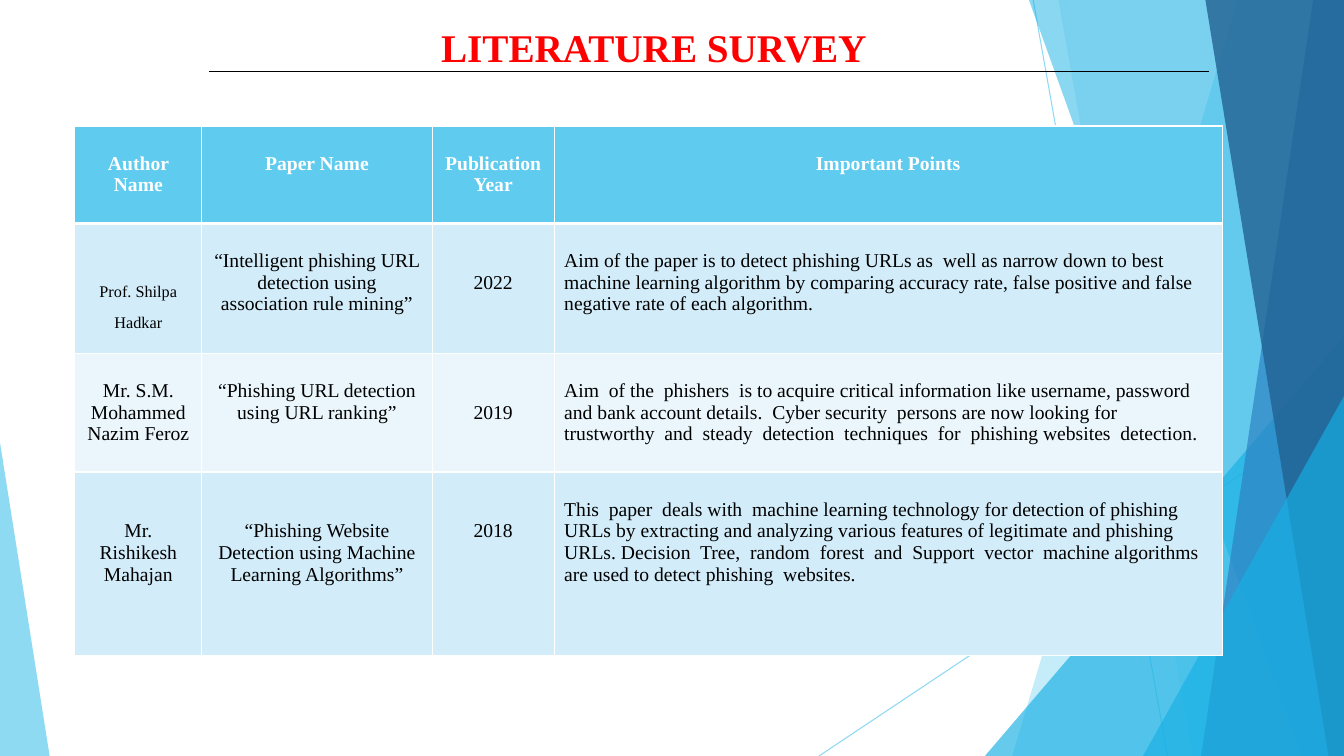
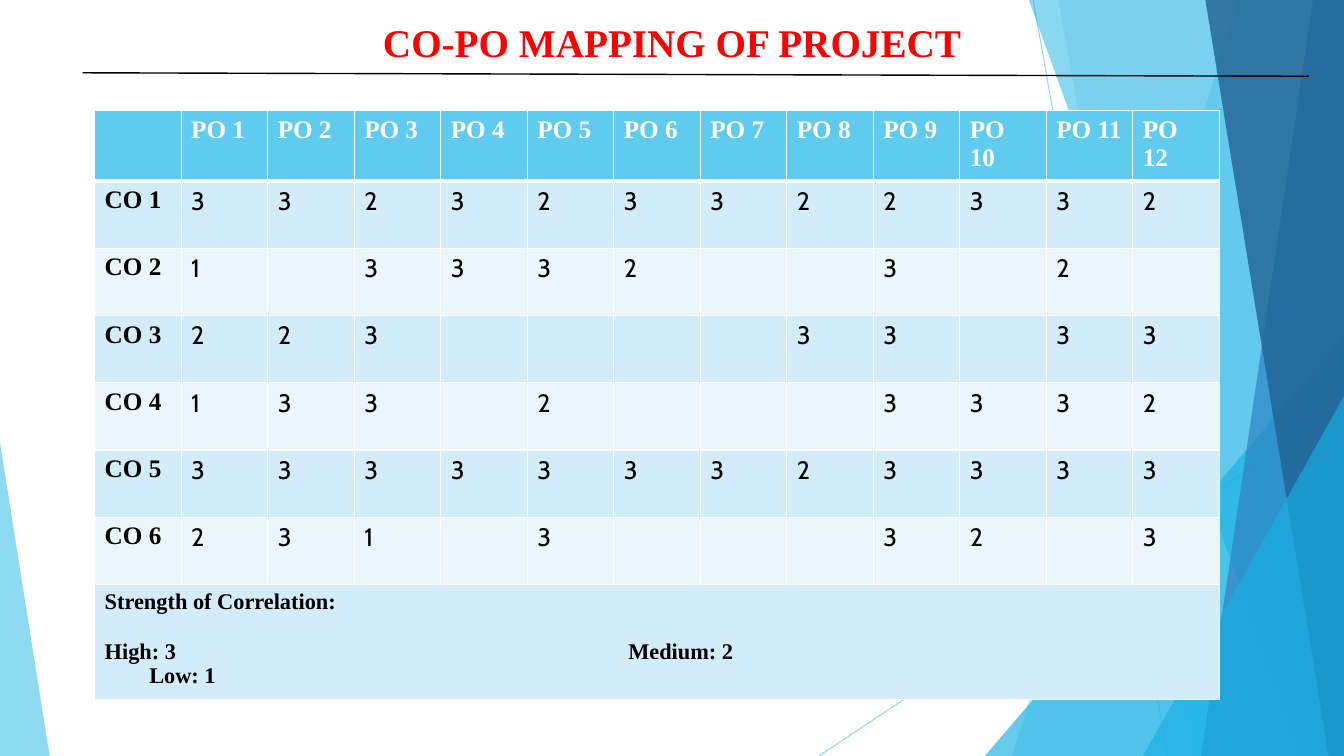
from dataclasses import dataclass
from typing import Any, NamedTuple

import lxml.etree
import pptx
import pptx.dml.color
import pptx.enum.shapes
import pptx.enum.text
import pptx.oxml.ns
import pptx.util

Pt = pptx.util.Pt
qn = pptx.oxml.ns.qn
ALIGN = pptx.enum.text.PP_ALIGN


# Theme: colours, fonts and type sizes
@dataclass(frozen=True)
class Theme:
    red: str = "FF0000"
    black: str = "000000"
    white: str = "FFFFFF"
    sky: str = "5FCBEF"
    cyan: str = "17B0E4"
    blue: str = "2E83C3"
    navy: str = "226292"
    odd: str = "D2ECF9"
    even: str = "EAF6FC"
    serif: str = "Times New Roman"
    sans: str = "Cabin"
    title: int = 28
    raised: int = 20
    grid: int = 18
    key: int = 16
    body: int = 14
    inset: float = 3.6
    leading: float = 1.107


THEME = Theme()
WIDTH, HEIGHT = 960, 540


# Background parts, in points
class Ray(NamedTuple):
    x1: float
    y1: float
    x2: float
    y2: float


class Band(NamedTuple):
    top: float
    foot: float
    color: str
    alpha: int


class Wedge(NamedTuple):
    left: float
    top: float
    width: float
    peak: float
    color: str
    alpha: int


DECOR = (
    Ray(738, 0, 834, HEIGHT),
    Ray(WIDTH, 290, 585, HEIGHT),
    Band(884, 723, THEME.sky, 36),
    Band(756, 852, THEME.sky, 20),
    Wedge(703.5, 240, 256.5, 1, THEME.cyan, 66),
    Band(735, 929.5, THEME.cyan, 50),
    Band(938, 858, THEME.blue, 70),
    Band(861, 949, THEME.navy, 80),
    Wedge(816.5, 283, 143.5, 1, THEME.cyan, 66),
    Wedge(0, 316, 35.5, 0, THEME.sky, 70),
)


# Slide content; skip counts the lines left free above a cell's text
class Entry(NamedTuple):
    text: str
    skip: int = 1
    raised: bool = False


SURVEY = (
    (Entry("Author Name"), Entry("Paper Name"), Entry("Publication Year"),
     Entry("Important Points")),
    (Entry("Prof. Shilpa Hadkar", raised=True),
     Entry("“Intelligent phishing URL detection using association rule mining”"),
     Entry("2022", 2),
     Entry("Aim of the paper is to detect phishing URLs as  well as narrow down to best "
           "machine learning algorithm by comparing accuracy rate, false positive and "
           "false negative rate of each algorithm.")),
    (Entry("Mr. S.M. Mohammed Nazim Feroz"),
     Entry("“Phishing URL detection using URL ranking”"),
     Entry("2019", 2),
     Entry("Aim  of the  phishers  is to acquire critical information like username, "
           "password and bank account details.  Cyber security  persons are now looking "
           "for trustworthy  and  steady  detection  techniques  for  phishing websites  "
           "detection.")),
    (Entry("Mr. Rishikesh Mahajan", 2),
     Entry("“Phishing Website Detection using Machine Learning Algorithms”", 2),
     Entry("2018", 2),
     Entry("This  paper  deals with  machine learning technology for detection of "
           "phishing URLs by extracting and analyzing various features of legitimate and "
           "phishing URLs. Decision  Tree,  random  forest  and  Support  vector  machine "
           "algorithms are used to detect phishing  websites.")),
)

# One digit per outcome, a dot where there is no link
SCORES = (
    "332323322332",
    "1.3332..3.2.",
    "223....33.33",
    "133.2...3332",
    "333333323333",
    "231.3...32.3",
)


# Helpers
def rgb(code: str) -> pptx.dml.color.RGBColor:
    return pptx.dml.color.RGBColor.from_string(code)


def write(para: Any, text: str, *, size: float = THEME.body, font: str = THEME.serif,
          color: str = THEME.black, bold: bool = False, align: Any = ALIGN.LEFT,
          before: float = 0, indent: float = 0, tab: float = 0, lift: int = 0) -> None:
    para.alignment = align
    if before:
        para.space_before = Pt(before)
    props = para._p.get_or_add_pPr()
    if indent:
        props.set("marL", str(Pt(indent)))
    if tab:
        tabs = lxml.etree.SubElement(props, qn("a:tabLst"))
        lxml.etree.SubElement(tabs, qn("a:tab"), pos=str(Pt(tab)), algn="l")
    run = para.add_run()
    run.text = text
    run.font.size = Pt(size)
    run.font.name = font
    run.font.bold = bold
    run.font.color.rgb = rgb(color)
    if lift:
        run.font._element.set("baseline", str(lift * 1000))


def fade(shape: Any, alpha: int) -> None:
    for node in shape.element.iter(qn("a:srgbClr")):
        lxml.etree.SubElement(node, qn("a:alpha"), val=str(alpha * 1000))


def rule(slide: Any, ray: Ray, color: str, width: float) -> Any:
    line = slide.shapes.add_connector(
        pptx.enum.shapes.MSO_CONNECTOR.STRAIGHT, *(Pt(v) for v in ray))
    line.line.color.rgb = rgb(color)
    line.line.width = Pt(width)
    lxml.etree.SubElement(line.element.spPr, qn("a:effectLst"))
    return line


def paint(shape: Any, color: str, alpha: int) -> Any:
    shape.shadow.inherit = False
    shape.fill.solid()
    shape.fill.fore_color.rgb = rgb(color)
    shape.line.fill.background()
    fade(shape, alpha)
    return shape


def decor(slide: Any, part: Any) -> Any:
    if isinstance(part, Ray):
        line = rule(slide, part, THEME.sky, 0.75)
        fade(line, 70)
        return line
    if isinstance(part, Band):
        path = slide.shapes.build_freeform(Pt(part.top), 0)
        path.add_line_segments([(Pt(WIDTH), 0), (Pt(WIDTH), Pt(HEIGHT)),
                                (Pt(part.foot), Pt(HEIGHT))])
        return paint(path.convert_to_shape(), part.color, part.alpha)
    shape = slide.shapes.add_shape(
        pptx.enum.shapes.MSO_SHAPE.ISOSCELES_TRIANGLE, Pt(part.left), Pt(part.top),
        Pt(part.width), Pt(HEIGHT - part.top))
    shape.adjustments[0] = part.peak
    return paint(shape, part.color, part.alpha)


def share(slide: Any, layout: Any) -> None:
    """Draw the background and hand it to the layout, so every slide has it."""
    for hold in list(layout.placeholders):
        hold.element.getparent().remove(hold.element)
    for shape in [decor(slide, part) for part in DECOR]:
        layout.shapes.element.append(shape.element)


def title(slide: Any, text: str, left: float, top: float, width: float) -> None:
    box = slide.shapes.add_textbox(Pt(left), Pt(top), Pt(width), Pt(40))
    box.text_frame.word_wrap = True
    write(box.text_frame.paragraphs[0], text, size=THEME.title, color=THEME.red,
          bold=True, align=ALIGN.CENTER)


def edge(cell: Any, top: float, foot: float) -> None:
    props = cell._tc.get_or_add_tcPr()
    for side, width in (("L", 1), ("R", 1), ("T", top), ("B", foot)):
        line = lxml.etree.SubElement(props, qn(f"a:ln{side}"), w=str(Pt(width)))
        fill = lxml.etree.SubElement(line, qn("a:solidFill"))
        lxml.etree.SubElement(fill, qn("a:srgbClr"), val=THEME.white)


def grid(slide: Any, left: float, top: float, cols: list[float],
         rows: list[float]) -> Any:
    table = slide.shapes.add_table(len(rows), len(cols), Pt(left), Pt(top),
                                   Pt(sum(cols)), Pt(sum(rows))).table
    table.horz_banding = False
    for col, width in zip(table.columns, cols):
        col.width = Pt(width)
    for r, height in enumerate(rows):
        table.rows[r].height = Pt(height)
        shade = THEME.sky if r == 0 else THEME.odd if r % 2 else THEME.even
        for cell in table.rows[r].cells:
            edge(cell, 3 if r == 1 else 1, 3 if r == 0 else 1)
            cell.fill.solid()
            cell.fill.fore_color.rgb = rgb(shade)
    return table


# Slide 1: papers
def survey(slide: Any) -> None:
    title(slide, "LITERATURE SURVEY", 53, 13, 828)
    table = grid(slide, 53.5, 90, [90.7, 164.6, 87.1, 477.2], [69.6, 89.2, 84.7, 131])
    for r, row in enumerate(SURVEY):
        for c, entry in enumerate(row):
            cell = table.cell(r, c)
            free = entry.skip * THEME.body + (THEME.raised if entry.raised else 0)
            cell.margin_top = Pt(THEME.inset + free * THEME.leading)
            write(cell.text_frame.paragraphs[0], entry.text,
                  size=THEME.raised if entry.raised else THEME.body,
                  lift=30 if entry.raised else 0, bold=r == 0,
                  color=THEME.black if r else THEME.white,
                  align=ALIGN.LEFT if r and c == 3 else ALIGN.CENTER)
    rule(slide, Ray(149.5, 51, 863.5, 51), THEME.black, 1)


# Slide 2: outcome matrix
def matrix(slide: Any) -> None:
    title(slide, "CO-PO MAPPING OF PROJECT", 0, 9.5, WIDTH)
    span = len(SCORES[0])
    table = grid(slide, 67.6, 79, [61.8] * (span + 1), [47.5] + [48] * len(SCORES) + [78])
    for c in range(1, span + 1):
        write(table.cell(0, c).text_frame.paragraphs[0], f"PO {c}", size=THEME.grid,
              color=THEME.white, bold=True)
    for r, marks in enumerate(SCORES, 1):
        write(table.cell(r, 0).text_frame.paragraphs[0], f"CO {r}", size=THEME.grid,
              bold=True)
        for c, mark in enumerate(marks, 1):
            if mark != ".":
                write(table.cell(r, c).text_frame.paragraphs[0], mark, size=THEME.grid,
                      font=THEME.sans)
    # Key to the scores
    last = len(SCORES) + 1
    key = table.cell(last, 0)
    key.merge(table.cell(last, span))
    frame = key.text_frame
    write(frame.paragraphs[0], "Strength of Correlation:", size=THEME.key, bold=True)
    write(frame.add_paragraph(), "High: 3\tMedium: 2", size=THEME.key, bold=True,
          before=17.7, tab=374)
    write(frame.add_paragraph(), "Low: 1", size=THEME.key, bold=True, indent=31.8)
    rule(slide, Ray(59, 52, 935, 54.5), THEME.black, 1)


def main() -> None:
    deck = pptx.Presentation()
    deck.slide_width, deck.slide_height = Pt(WIDTH), Pt(HEIGHT)
    blank = deck.slide_layouts[6]
    for index, draw in enumerate((survey, matrix)):
        slide = deck.slides.add_slide(blank)
        if index == 0:
            share(slide, blank)
        draw(slide)
    deck.save("out.pptx")


if __name__ == "__main__":
    main()
